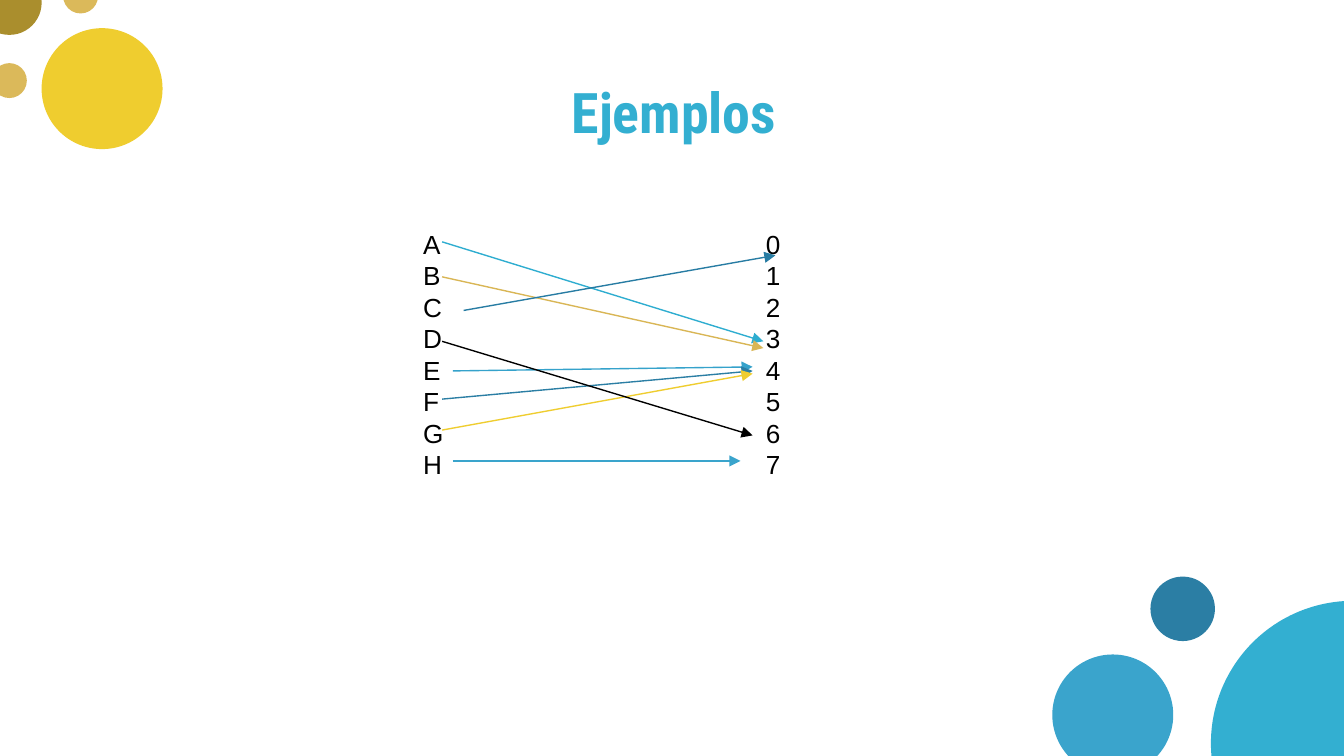
from lxml import etree
from pptx import Presentation
from pptx import util as u
from pptx.dml.color import RGBColor
from pptx.enum import shapes, text
from pptx.oxml.ns import qn

# Diameter, left and top within the corner, colour
TOP_LEFT_CIRCLES = [
    (0.9, 0.31, 0.21, "EFCD2F"),
    (0.48, -0.17, -0.22, "AA8E2D"),
    (0.26, 0.47, -0.16, "DBB95A"),
    (0.26, -0.06, 0.47, "DBB95A"),
]
BOTTOM_RIGHT_CIRCLES = [
    (2.12, 1.18, 0.18, "33AFD1"),
    (0.9, 0, 0.58, "3AA4CC"),
    (0.48, 0.73, 0, "2B7EA4"),
]
# Start and end within the diagram, colour
ARROWS = [
    (0.24, 0.15, 2.63, 0.89, "2EADD0"),  # A to 3
    (0.24, 0.41, 2.63, 0.94, "D9B655"),  # B to 3
    (0.40, 0.66, 2.72, 0.25, "277CA3"),  # C to 0
    (0.32, 1.11, 2.55, 1.08, "35A2CB"),  # E to 4
    (0.24, 1.32, 2.55, 1.11, "2B7EA4"),  # F to 4
    (0.24, 1.55, 2.55, 1.13, "EFCD2F"),  # G to 4
    (0.32, 1.78, 2.46, 1.78, "3AA4CC"),  # H to 7
    (0.24, 0.89, 2.55, 1.59, "000000"),  # D to 6
]


def color(value):
    return RGBColor.from_string(value)


def write_text(shape, lines, size, font, fill, bold=False, align=text.PP_ALIGN.LEFT,
               margin=(0.1, 0.05), spacing=None):
    frame = shape.text_frame
    frame.word_wrap = True
    frame.auto_size = text.MSO_AUTO_SIZE.NONE
    frame.vertical_anchor = text.MSO_ANCHOR.TOP
    frame.margin_left = frame.margin_right = u.Inches(margin[0])
    frame.margin_top = frame.margin_bottom = u.Inches(margin[1])
    frame.text = "\n".join(lines)
    for paragraph in frame.paragraphs:
        paragraph.alignment = align
        paragraph.line_spacing = spacing
        paragraph.font.size = u.Pt(size)
        paragraph.font.name = font
        paragraph.font.bold = bold
        paragraph.font.color.rgb = color(fill)


def add_circles(slide, left, top, circles):
    for diameter, x, y, fill in circles:
        circle = slide.shapes.add_shape(
            shapes.MSO_SHAPE.OVAL, u.Inches(left + x), u.Inches(top + y),
            u.Inches(diameter), u.Inches(diameter))
        circle.shadow.inherit = False
        circle.fill.solid()
        circle.fill.fore_color.rgb = color(fill)
        circle.line.fill.background()


def place_title(slide, left, top, width, height):
    title = slide.shapes.title
    title.left, title.top = u.Inches(left), u.Inches(top)
    title.width, title.height = u.Inches(width), u.Inches(height)
    write_text(title, ["Ejemplos"], size=30, font="Roboto Condensed", fill="33AFD1",
               bold=True, align=text.PP_ALIGN.CENTER, margin=(0.1, 0.1))


def add_arrow(slide, start_x, start_y, end_x, end_y, stroke):
    arrow = slide.shapes.add_connector(
        shapes.MSO_CONNECTOR.STRAIGHT, u.Inches(start_x), u.Inches(start_y),
        u.Inches(end_x), u.Inches(end_y))
    arrow.line.color.rgb = color(stroke)
    arrow.line.width = u.Pt(0.75)
    properties = arrow._element.spPr
    etree.SubElement(properties.find(qn("a:ln")), qn("a:tailEnd"), type="triangle")
    etree.SubElement(properties, qn("a:effectLst"))


def add_mapping(slide, left, top):
    # Letters on the left, digits on the right
    for x, width, labels in [(0, 0.4, "ABCDEFGH"), (2.55, 0.34, "01234567")]:
        column = slide.shapes.add_textbox(
            u.Inches(left + x), u.Inches(top), u.Inches(width), u.Inches(2.52))
        write_text(column, labels, size=14, font="Arial", fill="000000",
                   spacing=u.Pt(16.85))
    # Arrows between the columns
    for start_x, start_y, end_x, end_y, stroke in ARROWS:
        add_arrow(slide, left + start_x, top + start_y, left + end_x, top + end_y, stroke)


def main():
    presentation = Presentation()
    # Widescreen, 16 to 9
    presentation.slide_width = u.Inches(10)
    presentation.slide_height = u.Inches(10 * 9 / 16)
    slide = presentation.slides.add_slide(presentation.slide_layouts.get_by_name("Title Only"))
    slide.background.fill.solid()
    slide.background.fill.fore_color.rgb = color("FFFFFF")

    add_circles(slide, 0, 0, TOP_LEFT_CIRCLES)
    add_circles(slide, 7.83, 4.29, BOTTOM_RIGHT_CIRCLES)
    place_title(slide, 0.78, 0.48, 8.47, 0.63)
    add_mapping(slide, 3.05, 1.65)
    presentation.save("out.pptx")


if __name__ == "__main__":
    main()
